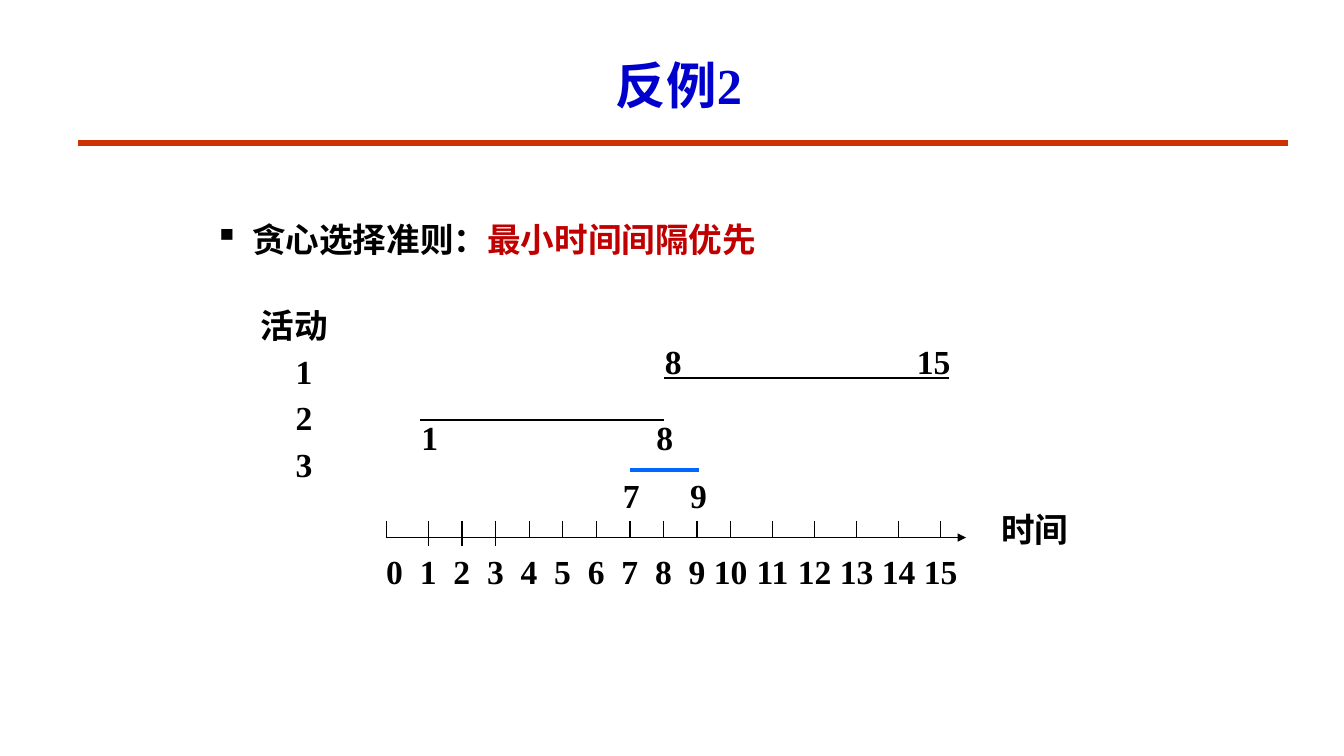
import pptx
import pptx.util
import pptx.dml.color
import pptx.enum.shapes
import pptx.enum.text
import pptx.oxml.ns
from dataclasses import dataclass
from lxml import etree

Pt = pptx.util.Pt

# Content
TITLE = "反例2"
CRITERION = ("贪心选择准则：", "最小时间间隔优先")
ACTIVITY_HEADING = "活动"
AXIS_NAME = "时间"
TIMES = range(16)
LONG_TICKS = (1, 2, 3)
# Each activity: number, (start, end), bar (left, right, y),
# label centres, label top
ACTIVITIES = [
    {"number": 1, "times": (8, 15), "bar": (474, 678, 270), "centres": (481, 667), "top": 240},
    {"number": 2, "times": (1, 8), "bar": (300, 474, 300), "centres": (307, 475), "top": 294},
    {"number": 3, "times": (7, 9), "bar": (450, 499, 336), "centres": (451, 499), "top": 336,
     "chosen": True},
]


@dataclass(frozen=True)
class Theme:
    font: str = "Times New Roman"
    title_size: float = 36
    text_size: float = 24
    title: str = "0000CC"
    text: str = "000000"
    emphasis: str = "C00000"
    rule: str = "CC3300"
    chosen: str = "0066FF"
    thin: float = 1
    medium: float = 3
    thick: float = 4.5


THEME = Theme()
INSET = 7.2
DIGIT = 12
AXIS_LEFT, AXIS_RIGHT, AXIS_Y = 276, 690, 384


def colour(value):
    return pptx.dml.color.RGBColor.from_string(value)


def add_xml(parent, tag, **attributes):
    return etree.SubElement(parent, pptx.oxml.ns.qn(tag), attributes)


def style(paragraph, size=THEME.text_size, fill=THEME.text):
    paragraph.font.name = THEME.font
    paragraph.font.size = Pt(size)
    paragraph.font.bold = True
    paragraph.font.color.rgb = colour(fill)


def add_box(slide, left, top, width, height):
    frame = slide.shapes.add_textbox(Pt(left), Pt(top), Pt(width), Pt(height)).text_frame
    frame.word_wrap = True
    return frame


def add_line(slide, x1, y1, x2, y2, fill=THEME.text, width=THEME.thin, arrow=False):
    line = slide.shapes.add_connector(
        pptx.enum.shapes.MSO_CONNECTOR.STRAIGHT, Pt(x1), Pt(y1), Pt(x2), Pt(y2))
    line.line.color.rgb = colour(fill)
    line.line.width = Pt(width)
    if arrow:
        add_xml(line.line._get_or_add_ln(), "a:tailEnd", type="triangle")
    add_xml(line._element.spPr, "a:effectLst")


def add_label_row(slide, labels, centres, top):
    """One line of labels, each centred on its own position by a tab stop."""
    start = centres[0] - DIGIT / 2
    left = start - INSET
    frame = add_box(slide, left, top, centres[-1] + 30 - left, 36)
    paragraph = frame.paragraphs[0]
    paragraph.add_run().text = "\t".join(str(label) for label in labels)
    tabs = add_xml(paragraph._p.get_or_add_pPr(), "a:tabLst")
    for centre in centres[1:]:
        add_xml(tabs, "a:tab", pos=str(int(Pt(centre - start))), algn="ctr")
    style(paragraph)


def time_x(time):
    return 282 + 24 * min(time, 10) + 30 * max(time - 10, 0)


def add_heading(slide):
    add_line(slide, 56, 102, 920, 102, THEME.rule, THEME.thick)
    title = slide.shapes.title
    title.left, title.top, title.width, title.height = Pt(145), Pt(30), Pt(680), Pt(60)
    title.text_frame.text = TITLE
    title.text_frame.vertical_anchor = pptx.enum.text.MSO_ANCHOR.MIDDLE
    paragraph = title.text_frame.paragraphs[0]
    paragraph.alignment = pptx.enum.text.PP_ALIGN.CENTER
    style(paragraph, THEME.title_size, THEME.title)


def add_criterion(slide):
    paragraph = add_box(slide, 146, 152.5, 646, 39).paragraphs[0]
    runs = [paragraph.add_run() for _ in CRITERION]
    for run, text in zip(runs, CRITERION):
        run.text = text
    properties = paragraph._p.get_or_add_pPr()
    properties.set("marL", str(int(Pt(27))))
    properties.set("indent", str(int(Pt(-27))))
    add_xml(properties, "a:buChar", char="▪")
    style(paragraph)
    runs[1].font.color.rgb = colour(THEME.emphasis)


def add_activities(slide):
    # Column of activity numbers
    frame = add_box(slide, 162, 210, 82, 140)
    rows = [(ACTIVITY_HEADING, 17)] + [(str(a["number"]), 42) for a in ACTIVITIES]
    for index, (text, indent) in enumerate(rows):
        paragraph = frame.paragraphs[0] if index == 0 else frame.add_paragraph()
        paragraph.add_run().text = text
        paragraph._p.get_or_add_pPr().set("marL", str(int(Pt(indent))))
        paragraph.line_spacing = Pt(33)
        style(paragraph)

    # Bars with their start and end times
    for activity in ACTIVITIES:
        left, right, y = activity["bar"]
        chosen = activity.get("chosen", False)
        add_line(slide, left, y, right, y,
                 THEME.chosen if chosen else THEME.text,
                 THEME.medium if chosen else THEME.thin)
        add_label_row(slide, activity["times"], activity["centres"], activity["top"])


def add_time_axis(slide):
    add_line(slide, AXIS_LEFT, AXIS_Y, AXIS_RIGHT, AXIS_Y, arrow=True)
    for time in TIMES:
        x = time_x(time) if time else AXIS_LEFT
        add_line(slide, x, AXIS_Y - 12, x, AXIS_Y + (6 if time in LONG_TICKS else 0))
    add_label_row(slide, TIMES, [time_x(time) for time in TIMES], 390)
    paragraph = add_box(slide, 708, 360, 64, 36).paragraphs[0]
    paragraph.add_run().text = AXIS_NAME
    style(paragraph)


def main():
    presentation = pptx.Presentation()
    presentation.slide_width, presentation.slide_height = Pt(960), Pt(540)
    slide = presentation.slides.add_slide(presentation.slide_layouts[5])
    add_heading(slide)
    add_criterion(slide)
    add_activities(slide)
    add_time_axis(slide)
    presentation.save("out.pptx")


if __name__ == "__main__":
    main()
